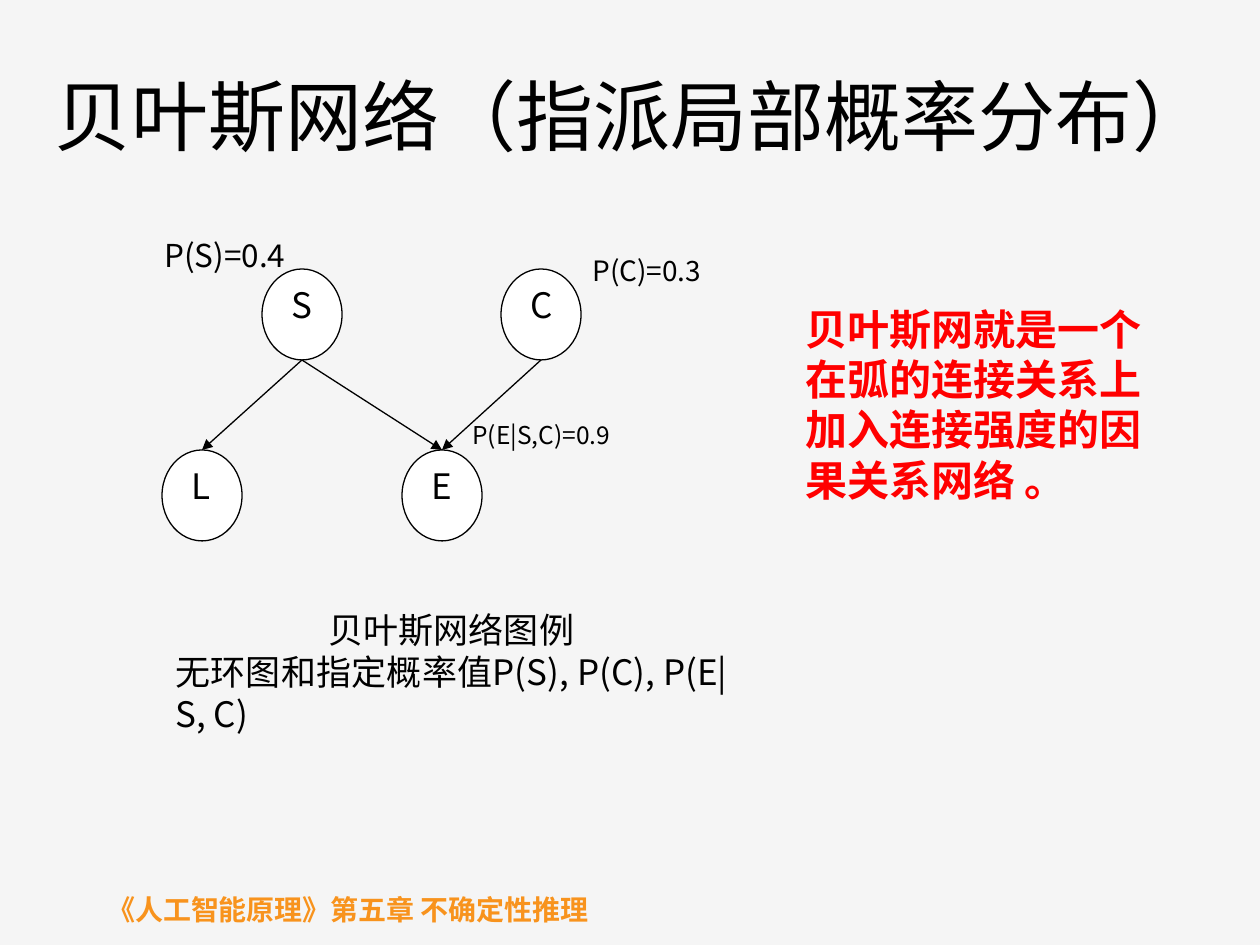
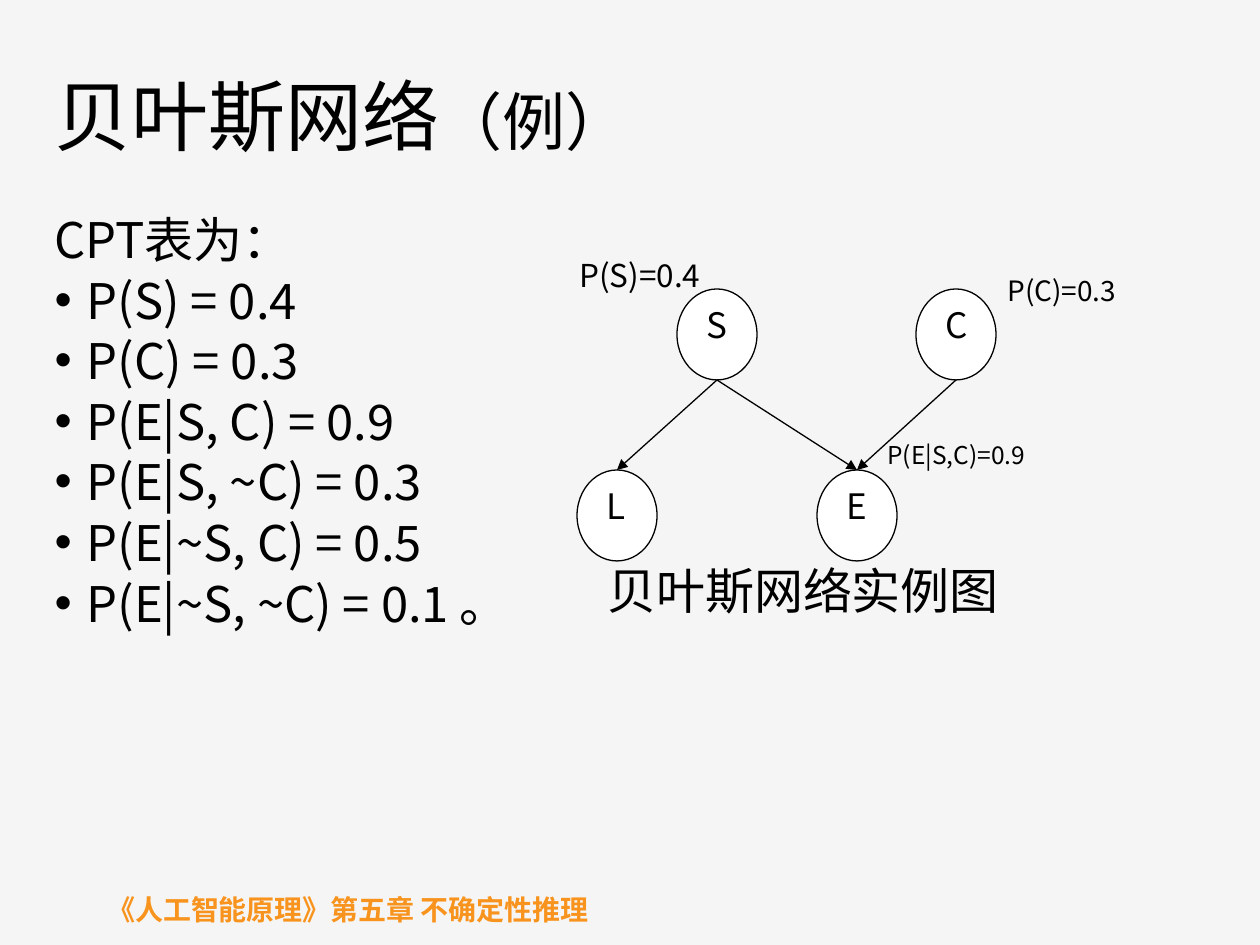
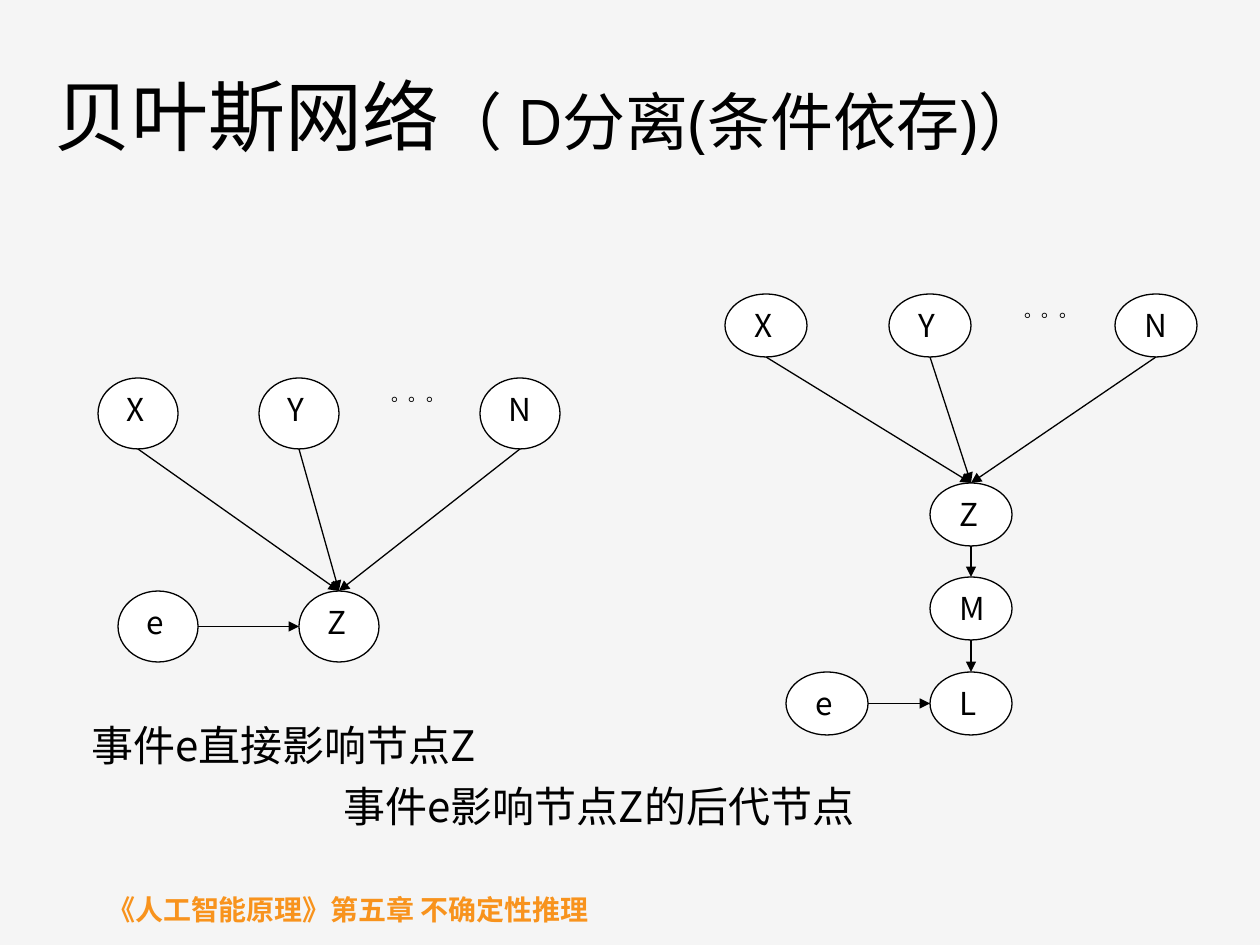
from dataclasses import dataclass
from typing import Any, NamedTuple

from lxml.etree import SubElement
from pptx import Presentation
from pptx.dml.color import RGBColor
from pptx.enum.shapes import MSO_CONNECTOR as CONN, MSO_SHAPE as SHAPE
from pptx.enum.text import MSO_ANCHOR as ANCHOR, MSO_AUTO_SIZE as AUTO, PP_ALIGN as ALIGN
from pptx.oxml.ns import qn
from pptx.util import Emu, Pt

# Shared look
PX_PER_INCH = 126
PAPER = RGBColor(0xF5, 0xF5, 0xF5)
BLACK = RGBColor(0, 0, 0)
WHITE = RGBColor(0xFF, 0xFF, 0xFF)
RED = RGBColor(0xFF, 0, 0)
ORANGE = RGBColor(0xF8, 0x93, 0x1D)
SC = "Noto Sans CJK SC"
JP = "Noto Sans CJK JP"
TITLE_FONT = "Open Sans"
FRAME = dict(word_wrap=True, auto_size=AUTO.NONE, vertical_anchor=ANCHOR.TOP)
FOOTER = "《人工智能原理》第五章 不确定性推理"
TITLE_ONLY, TITLE_BODY = 5, 1


def px(n: int) -> Emu:
    return Emu(round(n * 914400 / PX_PER_INCH))


class Box(NamedTuple):
    left: int
    top: int
    width: int
    height: int

    def emu(self) -> list[Emu]:
        return [px(n) for n in self]


TITLE_BOX = Box(42, 63, 1197, 116)
BODY_BOX = Box(42, 214, 1197, 624)
FOOTER_BOX = Box(95, 861, 734, 63)


class Tag(NamedTuple):
    text: str
    box: Box
    size: int


@dataclass
class Network:
    """Ellipses by name (left, top), arrows as name pairs, and loose tags."""
    node_w: int
    node_h: int
    label: Box  # relative to its ellipse
    label_size: int
    nodes: dict[str, tuple[int, int]]
    links: list[str]
    tags: list[Tag]


def apply(obj: Any, **values: Any) -> None:
    for name, value in values.items():
        setattr(obj, name, value)


# Text
def add_run(p: Any, text: str, size: int, color: RGBColor = BLACK, bold: bool = False,
            latin: str = SC, east: str = SC) -> None:
    r = p.add_run()
    r.text = text
    apply(r.font, size=Pt(size), bold=bold, name=latin)
    r.font.color.rgb = color
    SubElement(r.font._element, qn("a:ea"), typeface=east)


def add_text(shapes: Any, box: Box, text: str, size: int, **look: Any) -> Any:
    tf = shapes.add_textbox(*box.emu()).text_frame
    apply(tf, **FRAME)
    add_run(tf.paragraphs[0], text, size, **look)
    return tf


def place(sp: Any, box: Box, **frame: Any) -> Any:
    apply(sp, **dict(zip(Box._fields, box.emu())))
    apply(sp.text_frame, **{**FRAME, **frame})
    return sp.text_frame


def next_paragraph(tf: Any, index: int) -> Any:
    return tf.paragraphs[0] if index == 0 else tf.add_paragraph()


def set_indent(p: Any, left: int, hanging: int = 0, bullet: str = "") -> None:
    pPr = p._p.get_or_add_pPr()
    pPr.set("marL", str(px(left)))
    pPr.set("indent", str(px(-hanging)))
    if bullet:
        SubElement(pPr, qn("a:buChar"), char=bullet)
    else:
        SubElement(pPr, qn("a:buNone"))


def new_slide(prs: Any, layout: int, title: list[tuple[str, int]]) -> Any:
    s = prs.slides.add_slide(prs.slide_layouts[layout])
    tf = add_text(s.shapes, FOOTER_BOX, FOOTER, 16, color=ORANGE, bold=True,
                  latin=JP, east=JP)
    tf.margin_top = px(32)
    p = place(s.shapes.title, TITLE_BOX, vertical_anchor=ANCHOR.MIDDLE).paragraphs[0]
    apply(p, alignment=ALIGN.LEFT, line_spacing=0.9)
    for text, size in title:
        add_run(p, text, size, latin=TITLE_FONT)
    return s


# Network drawing
def add_arrow(shapes: Any, src: Any, dst: Any) -> None:
    level = src.top == dst.top
    if level:
        y = src.top + src.height // 2
        ends = src.left + src.width, y, dst.left, y
    else:
        ends = (src.left + src.width // 2, src.top + src.height,
                dst.left + dst.width // 2, dst.top)
    line = shapes.add_connector(CONN.STRAIGHT, *ends)
    if not level:
        line.end_connect(dst, 0)
    line.line.color.rgb = BLACK
    line.line.width = Pt(0.75)
    SubElement(line.line._get_or_add_ln(), qn("a:tailEnd"), type="triangle")
    SubElement(line._element.spPr, qn("a:effectLst"))


def draw_network(s: Any, net: Network, dx: int = 0, dy: int = 0) -> None:
    shapes = s.shapes.add_group_shape().shapes
    ellipses = {}
    for name, (x, y) in net.nodes.items():
        x, y = x + dx, y + dy
        sp = shapes.add_shape(SHAPE.OVAL, *Box(x, y, net.node_w, net.node_h).emu())
        sp.shadow.inherit = False
        sp.fill.solid()
        sp.fill.fore_color.rgb = WHITE
        sp.line.color.rgb = BLACK
        sp.line.width = Pt(0.75)
        ellipses[name] = sp
        label = net.label._replace(left=x + net.label.left, top=y + net.label.top)
        add_text(shapes, label, name, net.label_size)
    for src, dst in net.links:
        add_arrow(shapes, ellipses[src], ellipses[dst])
    for text, box, size in net.tags:
        box = box._replace(left=box.left + dx, top=box.top + dy)
        add_text(shapes, box, text, size)


CAUSES = Network(
    80, 91, Box(17, 8, 59, 68), 20,
    {"S": (262, 269), "C": (501, 269), "E": (402, 450), "L": (162, 450)},
    ["SL", "SE", "CE"],
    [Tag("P(S)=0.4", Box(152, 230, 176, 68), 18),
     Tag("P(C)=0.3", Box(580, 247, 160, 68), 16),
     Tag("P(E|S,C)=0.9", Box(460, 414, 192, 68), 14)])

DIRECT = Network(
    80, 71, Box(16, 6, 60, 53), 18,
    {"Z": (299, 591), "N": (480, 378), "Y": (259, 378), "X": (98, 378), "e": (118, 591)},
    ["XZ", "YZ", "NZ", "eZ"],
    [Tag("。。。", Box(379, 378, 81, 88), 10)])

DESCENDANT = Network(
    82, 63, Box(17, 6, 62, 48), 18,
    {"Z": (930, 483), "N": (1115, 294), "Y": (889, 294), "X": (725, 294),
     "L": (930, 672), "M": (930, 577), "e": (786, 672)},
    ["XZ", "YZ", "NZ", "eL", "ZM", "ML"],
    [Tag("。。。", Box(1012, 294, 82, 78), 10)])


# Slides
def distribution_slide(prs: Any) -> None:
    s = new_slide(prs, TITLE_ONLY, [("贝叶斯网络（指派局部概率分布）", 44)])
    tf = add_text(s.shapes, Box(163, 602, 577, 140), "贝叶斯网络图例", 20)
    tf.paragraphs[0].alignment = ALIGN.CENTER
    p = tf.add_paragraph()
    p.alignment = ALIGN.JUSTIFY
    add_run(p, "无环图和指定概率值P(S), P(C), P(E|S, C)", 20, latin=JP)
    add_text(s.shapes, Box(793, 297, 380, 267),
             "贝叶斯网就是一个在弧的连接关系上加入连接强度的因果关系网络 。",
             24, color=RED, bold=True)
    draw_network(s, CAUSES)


def example_slide(prs: Any) -> None:
    s = new_slide(prs, TITLE_BODY, [("贝叶斯网络", 44), ("（例）", 36)])
    tf = place(s.placeholders[1], BODY_BOX)
    rows = ["CPT表为：", "P(S) = 0.4", "P(C) = 0.3", "P(E|S, C) = 0.9",
            "P(E|S, ~C) = 0.3", "P(E|~S, C) = 0.5", "P(E|~S, ~C) = 0.1 。"]
    for i, text in enumerate(rows):
        p = next_paragraph(tf, i)
        apply(p, alignment=ALIGN.LEFT, line_spacing=0.81, space_before=Pt(7.4))
        set_indent(p, 32, 32, "•" if i else "")
        add_run(p, text, 28, latin=JP)
    draw_network(s, CAUSES, 415, 20)
    add_text(s.shapes, Box(595, 554, 440, 84), "贝叶斯网络实例图", 28)


def separation_slide(prs: Any) -> None:
    s = new_slide(prs, TITLE_BODY, [("贝叶斯网络", 44), ("（ D分离(条件依存)）", 36)])
    tf = place(s.placeholders[1], BODY_BOX, vertical_anchor=ANCHOR.BOTTOM)
    captions = [("事件e直接影响节点Z", 37), ("事件e影响节点Z的后代节点", 289)]
    for i, (text, left) in enumerate(captions):
        p = next_paragraph(tf, i)
        apply(p, alignment=ALIGN.LEFT, line_spacing=0.9, space_before=Pt(8.75))
        set_indent(p, left)
        add_run(p, text, 24, latin=JP)
    draw_network(s, DIRECT)
    draw_network(s, DESCENDANT)


def main() -> None:
    prs = Presentation()
    apply(prs, slide_width=px(1260), slide_height=px(945))
    fill = prs.slide_master.background.fill
    fill.solid()
    fill.fore_color.rgb = PAPER
    distribution_slide(prs)
    example_slide(prs)
    separation_slide(prs)
    prs.save("out.pptx")


if __name__ == "__main__":
    main()
